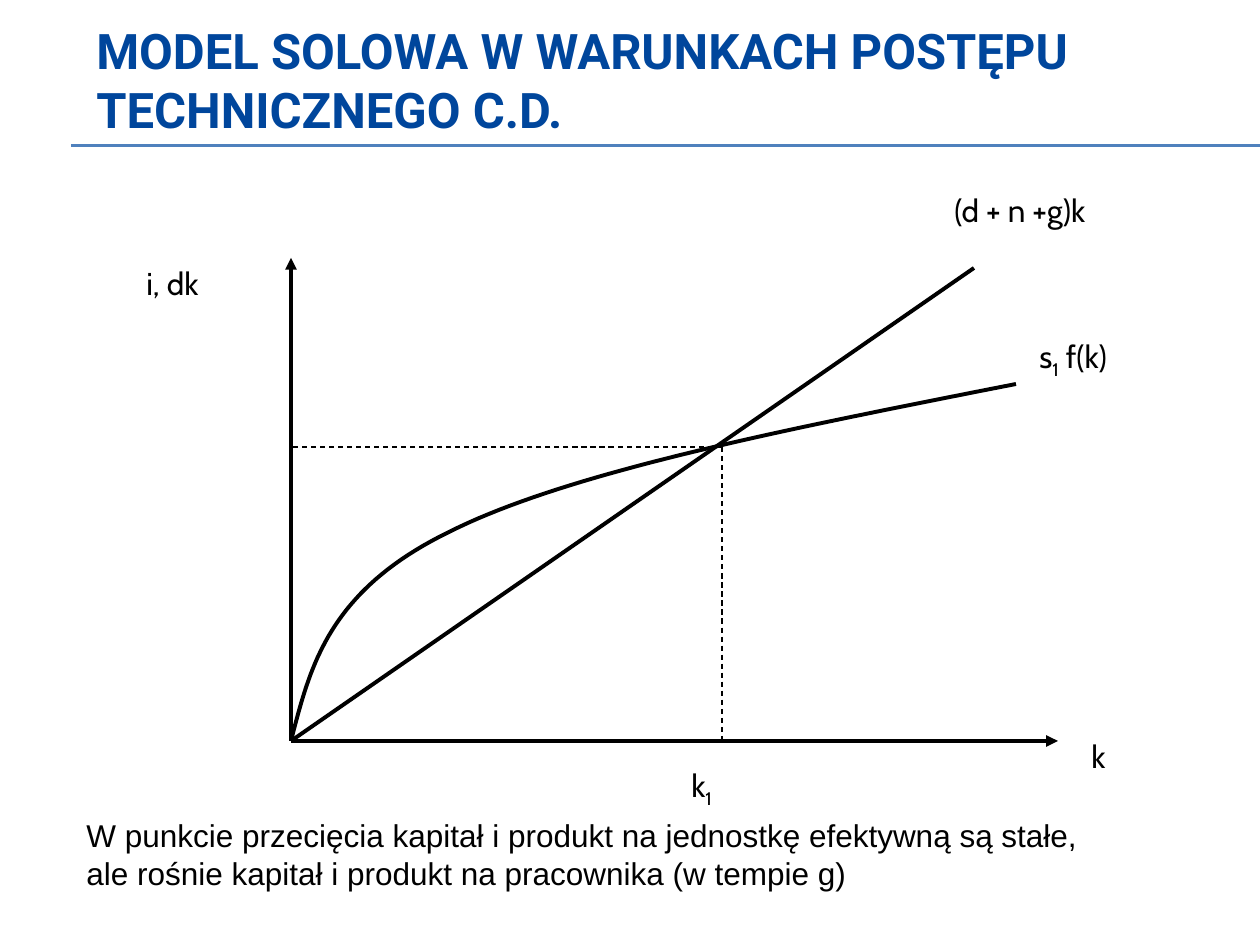
from lxml.etree import SubElement
from pptx import Presentation
from pptx.dml.color import RGBColor
from pptx.enum.dml import MSO_LINE_DASH_STYLE as Dash
from pptx.enum.shapes import MSO_CONNECTOR as Connector
from pptx.enum.text import MSO_ANCHOR as Anchor, MSO_AUTO_SIZE as AutoSize
from pptx.oxml.ns import qn
from pptx.util import Emu, Pt

PX = 914400 / 126
COLORS = {"title": "00469C", "rule": "4F81BD", "ink": "000000"}


def px(length):
    return Emu(round(length * PX))


def color(name):
    return RGBColor.from_string(COLORS[name])


def add_line(slide, start, end, width=2.25, ink="ink", dashed=False, arrow=False):
    line = slide.shapes.add_connector(
        Connector.STRAIGHT, *(px(value) for value in (*start, *end)))
    line.line.color.rgb = color(ink)
    line.line.width = Pt(width)
    if dashed:
        line.line.dash_style = Dash.DASH
    if arrow:
        SubElement(line.line._get_or_add_ln(), qn("a:tailEnd"), type="triangle")
    SubElement(line._element.spPr, qn("a:effectLst"))


def add_text(slide, box, parts, font="Cabin", size=18, ink="ink", bold=False):
    """Write parts as runs; every second part is a subscript."""
    frame = slide.shapes.add_textbox(*map(px, box)).text_frame
    frame.word_wrap = True
    for index, part in enumerate(parts):
        run = frame.paragraphs[0].add_run()
        run.text = part
        run.font.name = font
        run.font.size = Pt(size)
        run.font.bold = bold
        run.font.color.rgb = color(ink)
        if index % 2:
            run.font._element.set("baseline", "-25000")
    return frame


def bezier(p0, p1, p2, p3, steps=40):
    """Points along a cubic curve, without its start."""
    for step in range(1, steps + 1):
        t = step / steps
        u = 1 - t
        yield tuple(u**3 * a + 3 * u * u * t * b + 3 * u * t * t * c + t**3 * d
                    for a, b, c, d in zip(p0, p1, p2, p3))


def add_header(slide, left, top, width, height):
    title = add_text(slide, (left, top, width, height),
                     ["MODEL SOLOWA W WARUNKACH POSTĘPU TECHNICZNEGO C.D."],
                     "Roboto", 28, "title", True)
    title.vertical_anchor = Anchor.MIDDLE
    # Double rule running to the right edge of the slide
    for y in (145, 146):
        add_line(slide, (71, top + y), (1260, top + y), 0.75, "rule")


def add_solow_diagram(slide, left, top):
    def at(x, y):
        return left + x, top + y

    origin, steady_state = (157, 556), (588, 262)
    k1, output = steady_state

    # Break-even investment
    add_line(slide, at(*origin), at(840, 83))

    # Saving curve
    middle = (315, 347)
    curve = [*bezier(origin, (176, 482), (194, 406), middle),
             *bezier(middle, (436, 286), (659, 243), (882, 199))]
    builder = slide.shapes.build_freeform(*map(px, at(*origin)))
    builder.add_line_segments([tuple(map(px, at(*point))) for point in curve],
                              close=False)
    saving = builder.convert_to_shape()
    saving.shadow.inherit = False
    saving.fill.background()
    saving.line.color.rgb = color("ink")
    saving.line.width = Pt(2.25)

    # Axes
    for tip in ((origin[0], 73), (924, origin[1])):
        add_line(slide, at(*origin), at(*tip), arrow=True)

    # Steady-state guides
    for foot in ((k1, origin[1]), (origin[0], output)):
        add_line(slide, at(*steady_state), at(*foot), 0.75, dashed=True)

    # Labels
    for x, y, width, parts in (
        (808, 0, 262, ["(d + n +g)k"]),
        (893, 146, 189, ["s", "1", " f(k)"]),
        (945, 546, 53, ["k"]),
        (0, 73, 116, ["i, dk"]),
        (545, 575, 73, ["k", "1"]),
    ):
        label = add_text(slide, (*at(x, y), width, 63), parts)
        label.auto_size = AutoSize.SHAPE_TO_FIT_TEXT


def add_conclusion(slide, left, top, width, height):
    conclusion = add_text(
        slide, (left, top, width, height),
        ["W punkcie przecięcia kapitał i produkt na jednostkę efektywną są stałe, "
         "ale rośnie kapitał i produkt na pracownika (w tempie g)"], "Arial")
    conclusion.auto_size = AutoSize.SHAPE_TO_FIT_TEXT


def main():
    prs = Presentation()
    prs.slide_width, prs.slide_height = px(1260), px(945)
    slide = prs.slides.add_slide(prs.slide_layouts[6])
    add_header(slide, 84, 0, 1071, 158)
    add_solow_diagram(slide, 134, 185)
    add_conclusion(slide, 74, 810, 1052, 89)
    prs.save("out.pptx")


if __name__ == "__main__":
    main()
